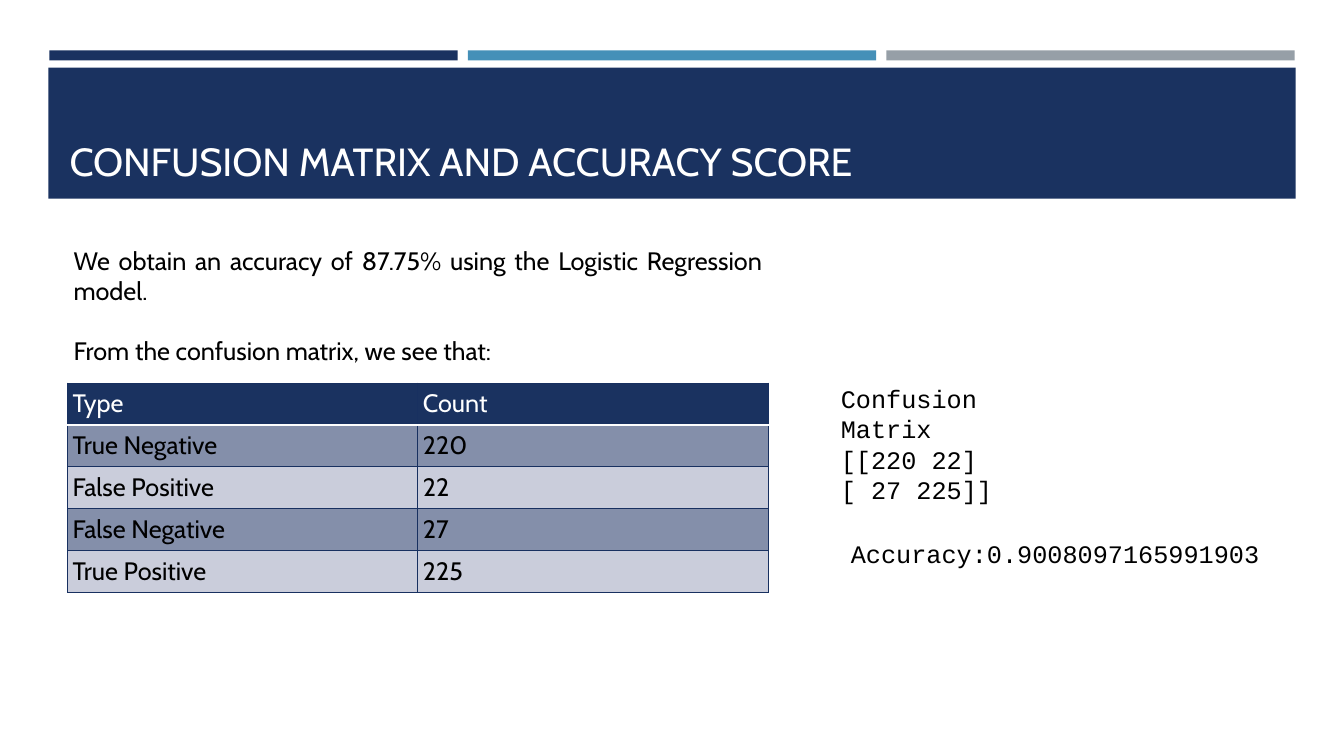
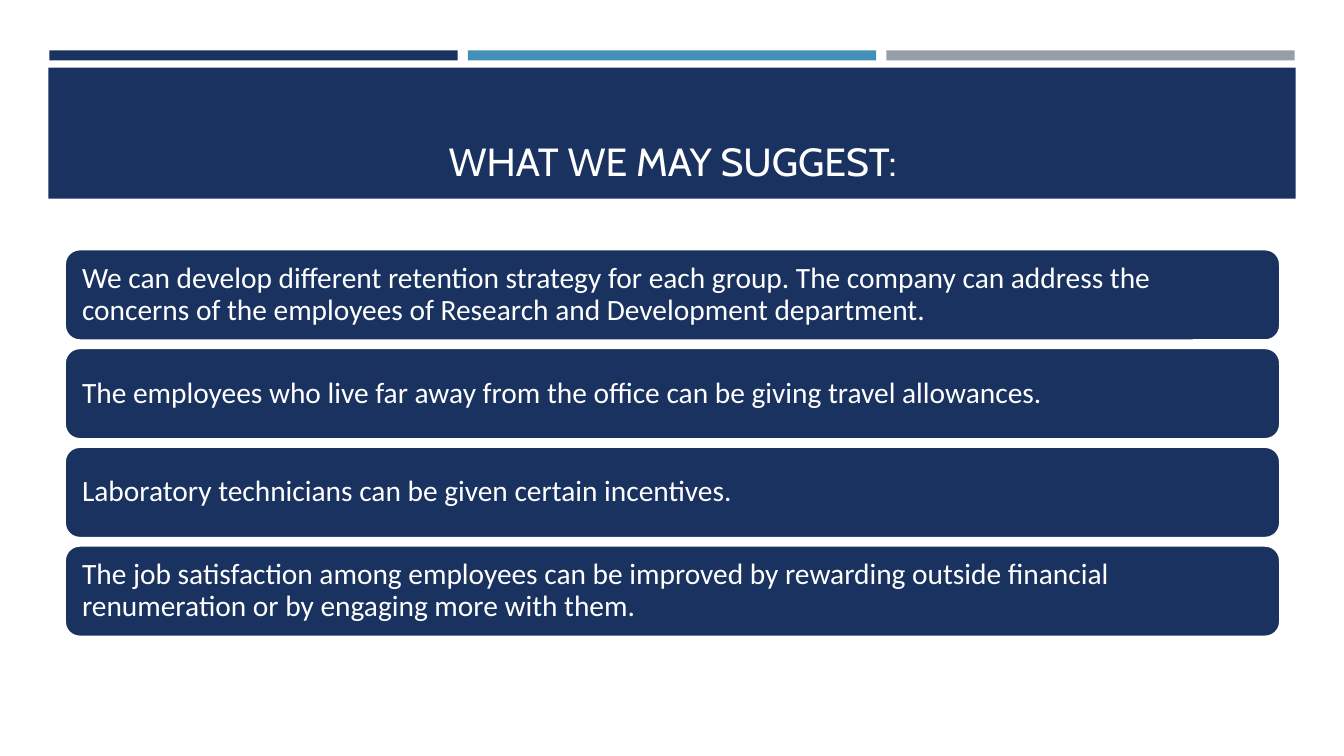
from lxml import etree
from pptx import Presentation
from pptx.dml.color import RGBColor
from pptx.enum.shapes import MSO_SHAPE
from pptx.enum.text import MSO_ANCHOR, PP_ALIGN
from pptx.oxml.ns import qn
from pptx.util import Inches, Pt

RECT, ROUNDED = MSO_SHAPE.RECTANGLE, MSO_SHAPE.ROUNDED_RECTANGLE
TOP, MIDDLE, BOTTOM = MSO_ANCHOR.TOP, MSO_ANCHOR.MIDDLE, MSO_ANCHOR.BOTTOM
LEFT, CENTER, JUSTIFY = PP_ALIGN.LEFT, PP_ALIGN.CENTER, PP_ALIGN.JUSTIFY

NAVY = RGBColor(0x1A, 0x32, 0x60)
BLUE = RGBColor(0x45, 0x90, 0xB8)
GRAY = RGBColor(0x96, 0x9F, 0xA7)
ROW_DARK = RGBColor(0x84, 0x8F, 0xAA)
ROW_LIGHT = RGBColor(0xCA, 0xCD, 0xDB)
GRID = RGBColor(0x18, 0x30, 0x60)
WHITE = RGBColor(0xFF, 0xFF, 0xFF)
BLACK = RGBColor(0, 0, 0)

TITLE = {"name": "Cabin", "size": Pt(28), "color": WHITE}
BODY = {"name": "Cabin", "size": Pt(18), "color": BLACK}
HEADER = {**BODY, "color": WHITE}
CODE = {**BODY, "name": "Courier New"}
CARD = {"name": "Calibri", "size": Pt(21), "color": WHITE}

COUNTS = [
    ("Type", "Count"),
    ("True Negative", "220"),
    ("False Positive", "22"),
    ("False Negative", "27"),
    ("True Positive", "225"),
]
SUGGESTIONS = [
    "We can develop different retention strategy for each group. The company can "
    "address the concerns of the employees of Research and Development department.",
    "The employees who live far away from the office can be giving travel allowances.",
    "Laboratory technicians can be given certain incentives.",
    "The job satisfaction among employees can be improved by rewarding outside "
    "financial renumeration or by engaging more with them.",
]


def set_margins(target, margin):
    for side in ("left", "top", "right", "bottom"):
        setattr(target, f"margin_{side}", Inches(margin))


def write(frame, paragraphs, style, align=LEFT, **spacing):
    """Fill a text frame; spacing holds paragraph attributes."""
    for index, text in enumerate(paragraphs):
        paragraph = frame.add_paragraph() if index else frame.paragraphs[0]
        paragraph.alignment = align
        for attribute, value in spacing.items():
            setattr(paragraph, attribute, value)
        run = paragraph.add_run()
        run.text = text
        run.font.bold = False
        for attribute, value in style.items():
            if attribute == "color":
                run.font.color.rgb = value
            else:
                setattr(run.font, attribute, value)


def add_panel(slide, box, color, preset=RECT):
    panel = slide.shapes.add_shape(preset, *map(Inches, box))
    panel.shadow.inherit = False
    panel.fill.solid()
    panel.fill.fore_color.rgb = color
    panel.line.fill.background()
    return panel


def add_text(slide, box, paragraphs, style, align=LEFT, anchor=TOP, margin=0.05, **spacing):
    frame = slide.shapes.add_textbox(*map(Inches, box)).text_frame
    frame.word_wrap = True
    frame.vertical_anchor = anchor
    set_margins(frame, margin)
    write(frame, paragraphs, style, align, **spacing)


def add_titled_slide(deck, title, align=LEFT):
    """Add a slide with the three stripes and the title band."""
    slide = deck.slides.add_slide(deck.slide_layouts[6])
    for column, color in enumerate((NAVY, BLUE, GRAY)):
        add_panel(slide, (0.49 + 4.15 * column, 0.5, 4.05, 0.1), color)
    add_panel(slide, (0.48, 0.67, 12.37, 1.3), NAVY)
    add_text(slide, (0.64, 0.77, 12.06, 1.11), [title], TITLE, align, BOTTOM)
    return slide


def set_border(cell, edge, color, width):
    line = etree.SubElement(cell._tc.get_or_add_tcPr(), qn(f"a:{edge}"), w=str(Pt(width)))
    fill = etree.SubElement(line, qn("a:solidFill"))
    etree.SubElement(fill, qn("a:srgbClr"), val=str(color))


def add_count_table(slide, box, rows):
    frame = slide.shapes.add_table(len(rows), len(rows[0]), *map(Inches, box))
    for row_index, row in enumerate(rows):
        frame.table.rows[row_index].height = Inches(box[3] / len(rows))
        for column, text in enumerate(row):
            cell = frame.table.cell(row_index, column)
            set_margins(cell, 0.05)
            write(cell.text_frame, [text], BODY if row_index else HEADER)
            rules = {edge: (GRID, 0.75) for edge in ("lnL", "lnR", "lnT", "lnB")}
            if row_index < 2:
                rules["lnT" if row_index else "lnB"] = (WHITE, 2)
            for edge, rule in rules.items():
                set_border(cell, edge, *rule)
            cell.fill.solid()
            band = ROW_DARK if row_index % 2 else ROW_LIGHT
            cell.fill.fore_color.rgb = band if row_index else NAVY


def add_cards(slide, box, texts, gap=0.07):
    """Stack equal rounded cards down the box."""
    left, top, width, height = box
    card_height = (height - gap * (len(texts) - 1)) / len(texts)
    for index, text in enumerate(texts):
        card_top = top + index * (card_height + gap)
        card = add_panel(slide, (left, card_top, width, card_height), NAVY, ROUNDED)
        card.line.color.rgb = WHITE
        card.line.width = Pt(2)
        frame = card.text_frame
        frame.word_wrap = True
        frame.vertical_anchor = MIDDLE
        set_margins(frame, 0.13)
        write(frame, [text], CARD, line_spacing=0.9)


def build_accuracy_slide(deck):
    slide = add_titled_slide(deck, "CONFUSION MATRIX AND ACCURACY SCORE")
    findings = [
        "We obtain an accuracy of 87.75% using the Logistic Regression model.",
        "From the confusion matrix, we see that:",
    ]
    add_text(slide, (0.68, 2.38, 6.93, 1.3), findings, BODY, JUSTIFY, space_after=Pt(21.5))
    add_count_table(slide, (0.67, 3.8, 6.95, 2.08), COUNTS)
    add_text(slide, (8.34, 3.8, 1.56, 1.21), ["Confusion Matrix [[220 22] [ 27 225]]"],
             CODE, anchor=MIDDLE, margin=0)
    add_text(slide, (8.34, 5.24, 4.6, 0.4), ["Accuracy:0.9008097165991903"], CODE, margin=0.1)


def build_suggestions_slide(deck):
    slide = add_titled_slide(deck, "WHAT WE MAY SUGGEST:", CENTER)
    add_cards(slide, (0.64, 2.47, 12.06, 3.85), SUGGESTIONS)


def main():
    deck = Presentation()
    deck.slide_width, deck.slide_height = Inches(13.33), Inches(7.5)
    build_accuracy_slide(deck)
    build_suggestions_slide(deck)
    deck.save("out.pptx")


if __name__ == "__main__":
    main()
